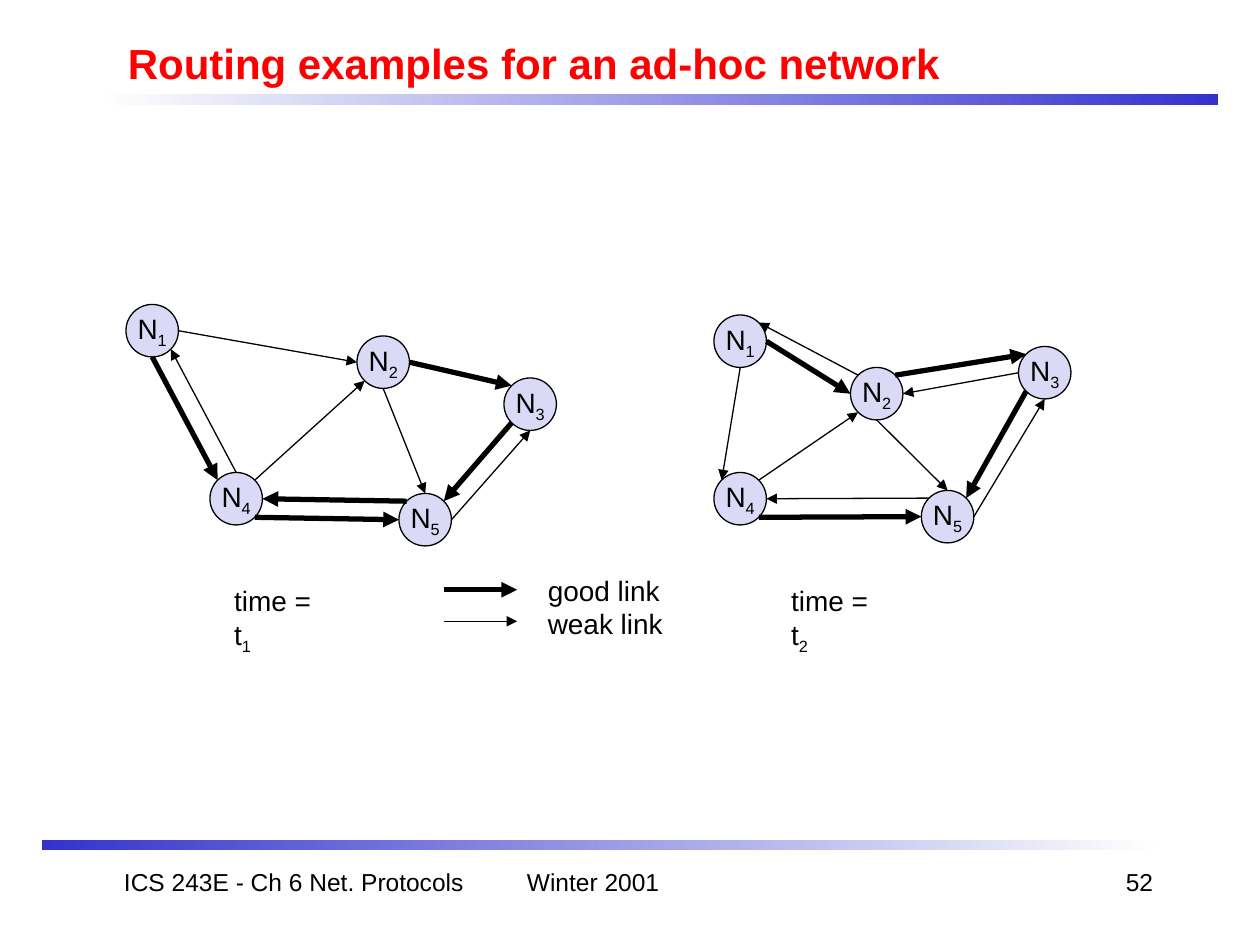
import math

import pptx
import pptx.dml.color
import pptx.enum.shapes
import pptx.enum.text
import pptx.oxml.ns
import pptx.util
from lxml import etree

Pt = pptx.util.Pt
ALIGN = pptx.enum.text.PP_ALIGN
ANCHOR = pptx.enum.text.MSO_ANCHOR
SHAPE = pptx.enum.shapes.MSO_SHAPE
qn = pptx.oxml.ns.qn

COLORS = {name: pptx.dml.color.RGBColor.from_string(value) for name, value in {
    "title": "FF0000", "ink": "000000", "node": "DADAF6",
    "bar": "3333CC", "fade": "FEFEFE"}.items()}
DIAMETER = 30
GOOD, WEAK = 3, 0.75
# Compass directions of the points where links touch a node, in degrees
COMPASS = {"E": 0, "SE": 45, "S": 90, "SW": 135,
           "W": 180, "NW": 225, "N": 270, "NE": 315}

deck = pptx.Presentation()
deck.slide_width, deck.slide_height = Pt(720), Pt(540)
slide = deck.slides.add_slide(deck.slide_layouts[6])


def write(shape, lines, size=16, color="ink", bold=False, align=ALIGN.LEFT,
          anchor=ANCHOR.TOP, wrap=False):
    """Each line is a pair: its text and its subscript."""
    frame = shape.text_frame
    frame.word_wrap = wrap
    frame.vertical_anchor = anchor
    for index, parts in enumerate(lines):
        paragraph = frame.add_paragraph() if index else frame.paragraphs[0]
        paragraph.alignment = align
        for text, baseline in zip(parts, (None, "-25000")):
            if not text:
                continue
            run = paragraph.add_run()
            run.text = text
            run.font.name = "Arial"
            run.font.size = Pt(size)
            run.font.bold = bold
            run.font.color.rgb = COLORS[color]
            if baseline:
                run.font._element.set("baseline", baseline)


def add_link(start, end, weight):
    link = slide.shapes.add_connector(
        pptx.enum.shapes.MSO_CONNECTOR.STRAIGHT, *map(Pt, start + end))
    link.line.color.rgb = COLORS["ink"]
    link.line.width = Pt(weight)
    etree.SubElement(link.line._get_or_add_ln(), qn("a:tailEnd"), type="triangle")
    etree.SubElement(link._element.spPr, qn("a:effectLst"))


# Gradient bars under the title and above the footer
for left, top, right_end, left_end in [(60, 54, "bar", "fade"),
                                       (24, 480, "fade", "bar")]:
    bar = slide.shapes.add_shape(SHAPE.RECTANGLE, Pt(left), Pt(top), Pt(636), Pt(6))
    bar.shadow.inherit = False
    bar.line.fill.background()
    bar.fill.gradient()
    bar.fill.gradient_angle = 180
    for stop, color in zip(bar.fill.gradient_stops, (right_end, left_end)):
        stop.color.rgb = COLORS[color]

# Title
title = slide.shapes.add_textbox(Pt(66), Pt(18), Pt(612), Pt(36))
write(title, [("Routing examples for an ad-hoc network", "")], size=24,
      color="title", bold=True, anchor=ANCHOR.MIDDLE, wrap=True)

# Networks at both times: node corners, then links as node, side, node, side
networks = [
    ({"1": (72, 174), "4": (120, 270), "2": (204, 192), "5": (228, 282),
      "3": (288, 216)},
     [("1", "E", "2", "W", WEAK), ("4", "NE", "2", "SW", WEAK),
      ("5", "NW", "4", "E", GOOD), ("4", "SE", "5", "W", GOOD),
      ("4", "N", "1", "SE", WEAK), ("1", "S", "4", "NW", GOOD),
      ("2", "E", "3", "NW", GOOD), ("3", "SW", "5", "NE", GOOD),
      ("5", "E", "3", "S", WEAK), ("2", "S", "5", "N", WEAK)]),
    ({"1": (408, 180), "4": (408, 270), "2": (486, 210), "5": (526.5, 280.25),
      "3": (582, 198)},
     [("1", "E", "2", "W", GOOD), ("4", "NE", "2", "SW", WEAK),
      ("5", "NW", "4", "E", WEAK), ("4", "SE", "5", "W", GOOD),
      ("1", "S", "4", "NW", WEAK), ("2", "NE", "3", "NW", GOOD),
      ("3", "SW", "5", "NE", GOOD), ("5", "E", "3", "S", WEAK),
      ("2", "S", "5", "N", WEAK), ("2", "NW", "1", "NE", WEAK),
      ("3", "W", "2", "E", WEAK)]),
]
radius = DIAMETER / 2
for nodes, links in networks:
    for number, (left, top) in nodes.items():
        node = slide.shapes.add_shape(SHAPE.OVAL, Pt(left), Pt(top),
                                      Pt(DIAMETER), Pt(DIAMETER))
        node.shadow.inherit = False
        node.fill.solid()
        node.fill.fore_color.rgb = COLORS["node"]
        node.line.color.rgb = COLORS["ink"]
        node.line.width = Pt(0.75)
        write(node, [("N", number)], align=ALIGN.CENTER, anchor=ANCHOR.MIDDLE)
    for source, source_side, target, target_side, weight in links:
        ends = []
        for number, side in [(source, source_side), (target, target_side)]:
            angle = math.radians(COMPASS[side])
            left, top = nodes[number]
            ends.append((left + radius * (1 + math.cos(angle)),
                         top + radius * (1 + math.sin(angle))))
        add_link(*ends, weight)

# Legend
for y, weight in [(337, GOOD), (355, WEAK)]:
    add_link((253.5, y), (295.5, y), weight)
legend = slide.shapes.add_textbox(Pt(306), Pt(324), Pt(80), Pt(46))
write(legend, [("good link", ""), ("weak link", "")])

# Time captions
for left, moment in [(126.75, "1"), (445, "2")]:
    caption = slide.shapes.add_textbox(Pt(left), Pt(330), Pt(72), Pt(29.5))
    write(caption, [("time = t", moment)])

# Footer
for left, width, text, align in [
        (54, 228, "ICS 243E - Ch 6 Net. Protocols", ALIGN.CENTER),
        (516, 150, "52", ALIGN.RIGHT),
        (294, 150, "Winter 2001", ALIGN.LEFT)]:
    footer = slide.shapes.add_textbox(Pt(left), Pt(492), Pt(width), Pt(36))
    write(footer, [(text, "")], size=14, align=align, wrap=True)

deck.save("out.pptx")
